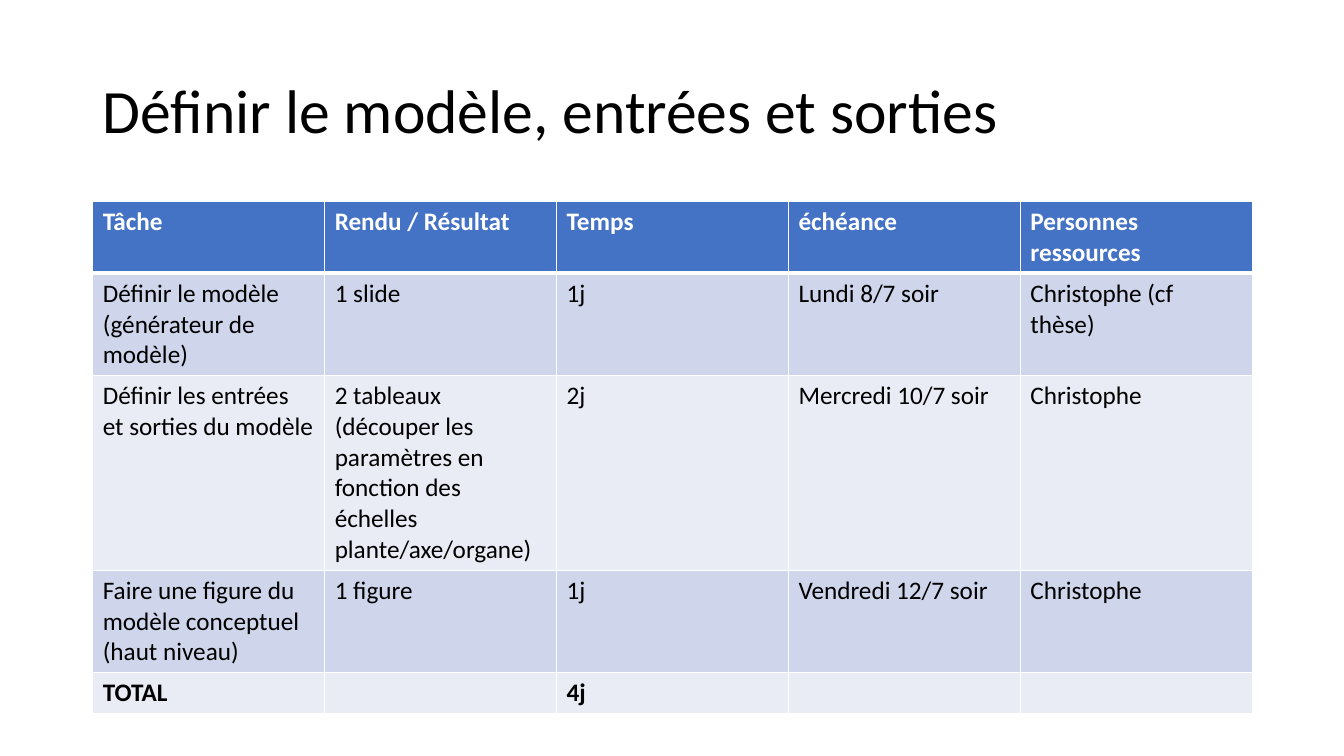
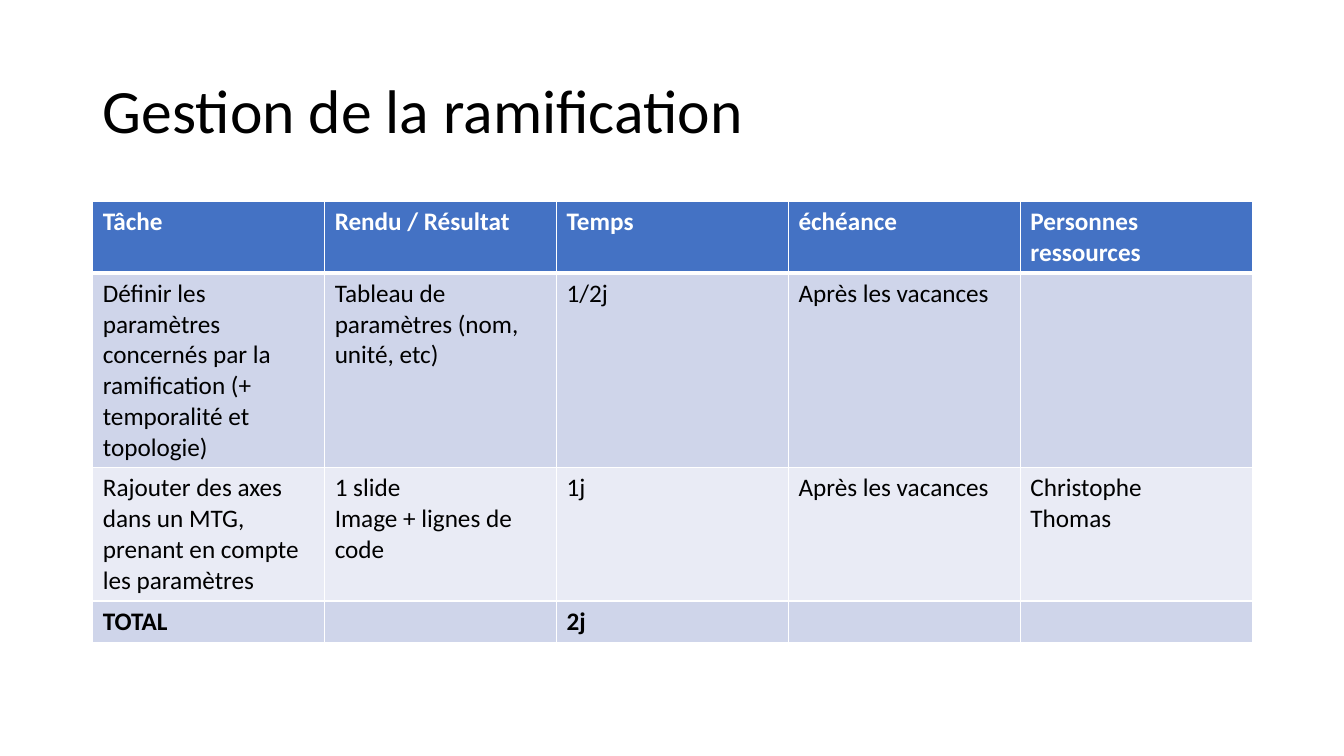
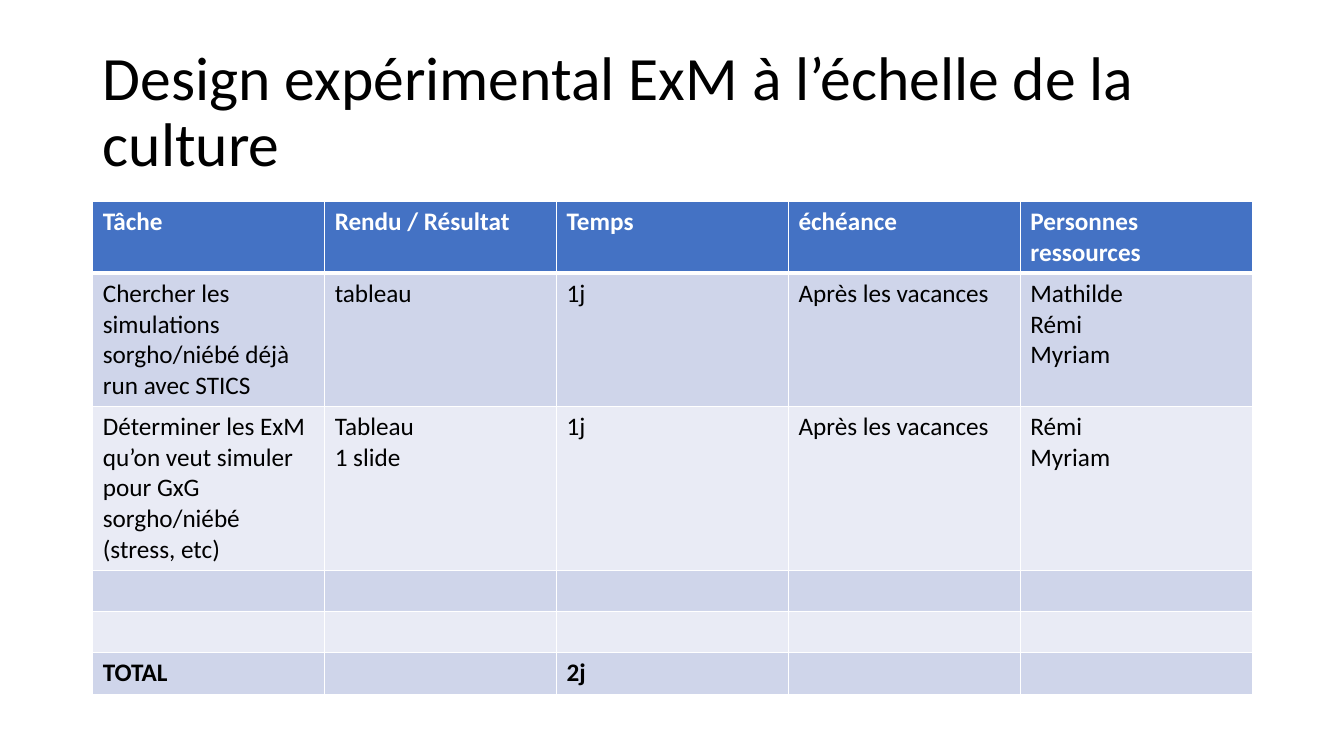
from dataclasses import dataclass

from lxml import etree
from pptx import Presentation
from pptx.dml.color import RGBColor
from pptx.enum.text import MSO_ANCHOR, MSO_AUTO_SIZE, PP_ALIGN
from pptx.oxml.ns import qn
from pptx.presentation import Presentation as Deck
from pptx.slide import Slide
from pptx.table import _Cell
from pptx.util import Inches, Pt

LEFT = PP_ALIGN.LEFT
MIDDLE = MSO_ANCHOR.MIDDLE
NO_AUTOFIT = MSO_AUTO_SIZE.NONE

BLACK = RGBColor(0x00, 0x00, 0x00)
WHITE = RGBColor(0xFF, 0xFF, 0xFF)
HEADER_BLUE = RGBColor(0x44, 0x72, 0xC4)
BANDS = (RGBColor(0xCF, 0xD5, 0xEA), RGBColor(0xE9, 0xEB, 0xF5))

FONT = "Calibri"
TITLE_SIZE = Pt(44)
CELL_SIZE = Pt(18)
THIN, THICK = Pt(1), Pt(3)

MARGIN = Inches(0.92)
CONTENT_WIDTH = Inches(11.5)
TITLE_TOP, TITLE_HEIGHT = Inches(0.4), Inches(1.45)
TABLE_TOP, ROW_HEIGHT = Inches(2), Inches(0.41)
TITLE_ONLY = 5

HEADINGS = ("Tâche", "Rendu / Résultat", "Temps", "échéance", "Personnes ressources")


@dataclass(frozen=True)
class Task:
    """One planned task; a newline starts a new paragraph."""

    name: str = ""
    result: str = ""
    time: str = ""
    deadline: str = ""
    people: str = ""

    def texts(self) -> tuple[str, ...]:
        """Return the texts of the row in column order."""
        return self.name, self.result, self.time, self.deadline, self.people


@dataclass(frozen=True)
class Plan:
    """A slide title with its tasks and total time."""

    title: str
    tasks: tuple[Task, ...]
    total: str


PLANS = (
    Plan(
        "Définir le modèle, entrées et sorties",
        (
            Task("Définir le modèle (générateur de modèle)", "1 slide", "1j",
                 "Lundi 8/7 soir", "Christophe (cf thèse)"),
            Task("Définir les entrées et sorties du modèle",
                 "2 tableaux (découper les paramètres en fonction des échelles plante/axe/organe)",
                 "2j", "Mercredi 10/7 soir", "Christophe"),
            Task("Faire une figure du modèle conceptuel (haut niveau)", "1 figure", "1j",
                 "Vendredi 12/7 soir", "Christophe"),
        ),
        "4j",
    ),
    Plan(
        "Gestion de la ramification",
        (
            Task("Définir les paramètres concernés par la ramification (+ temporalité et topologie)",
                 "Tableau de paramètres (nom, unité, etc)", "1/2j", "Après les vacances"),
            Task("Rajouter des axes dans un MTG, prenant en compte les paramètres",
                 "1 slide\nImage + lignes de code", "1j", "Après les vacances",
                 "Christophe\nThomas"),
        ),
        "2j",
    ),
    Plan(
        "Design expérimental ExM à l’échelle de la culture",
        (
            Task("Chercher les simulations sorgho/niébé déjà run avec STICS", "tableau", "1j",
                 "Après les vacances", "Mathilde\nRémi\nMyriam"),
            Task("Déterminer les ExM qu’on veut simuler pour GxG sorgho/niébé (stress, etc)",
                 "Tableau\n1 slide", "1j", "Après les vacances", "Rémi\nMyriam"),
            Task(),
            Task(),
        ),
        "2j",
    ),
)


def add_title(slide: Slide, text: str) -> None:
    """Place and format the slide title."""
    title = slide.shapes.title
    title.left, title.top = MARGIN, TITLE_TOP
    title.width, title.height = CONTENT_WIDTH, TITLE_HEIGHT
    frame = title.text_frame
    frame.word_wrap = True
    frame.auto_size = NO_AUTOFIT
    frame.vertical_anchor = MIDDLE
    paragraph = frame.paragraphs[0]
    paragraph.alignment = LEFT
    paragraph.line_spacing = 0.9
    run = paragraph.add_run()
    run.text = text
    run.font.name, run.font.size = FONT, TITLE_SIZE
    run.font.color.rgb = BLACK


def set_borders(cell: _Cell, top: Pt, bottom: Pt) -> None:
    """Draw white borders around a cell."""
    properties = cell._tc.get_or_add_tcPr()
    for tag, width in (("a:lnL", THIN), ("a:lnR", THIN), ("a:lnT", top), ("a:lnB", bottom)):
        line = etree.SubElement(properties, qn(tag), w=str(width))
        fill = etree.SubElement(line, qn("a:solidFill"))
        etree.SubElement(fill, qn("a:srgbClr"), val=str(WHITE))


def write_cell(cell: _Cell, text: str, color: RGBColor, bold: bool) -> None:
    """Write one paragraph per line of text."""
    frame = cell.text_frame
    for index, line in enumerate(text.split("\n") if text else ()):
        paragraph = frame.add_paragraph() if index else frame.paragraphs[0]
        run = paragraph.add_run()
        run.text = line
        run.font.name, run.font.size, run.font.bold = FONT, CELL_SIZE, bold
        run.font.color.rgb = color


def add_plan_table(slide: Slide, plan: Plan) -> None:
    """Add the task table with its header and total rows."""
    total = Task("TOTAL", time=plan.total)
    rows = [HEADINGS, *(task.texts() for task in plan.tasks), total.texts()]
    table = slide.shapes.add_table(
        len(rows), len(HEADINGS), MARGIN, TABLE_TOP, CONTENT_WIDTH, ROW_HEIGHT * len(rows)
    ).table
    for row_index, texts in enumerate(rows):
        is_header = row_index == 0
        bold = is_header or row_index == len(rows) - 1
        background = HEADER_BLUE if is_header else BANDS[(row_index - 1) % 2]
        for column_index, text in enumerate(texts):
            cell = table.cell(row_index, column_index)
            set_borders(cell, THICK if row_index == 1 else THIN, THICK if is_header else THIN)
            cell.fill.solid()
            cell.fill.fore_color.rgb = background
            write_cell(cell, text, WHITE if is_header else BLACK, bold)


def add_plan_slide(deck: Deck, plan: Plan) -> None:
    """Add one planning slide."""
    slide = deck.slides.add_slide(deck.slide_layouts[TITLE_ONLY])
    add_title(slide, plan.title)
    add_plan_table(slide, plan)


def main() -> None:
    """Build and save the presentation."""
    deck = Presentation()
    deck.slide_width, deck.slide_height = Inches(13.33), Inches(7.5)
    for plan in PLANS:
        add_plan_slide(deck, plan)
    deck.save("out.pptx")


if __name__ == "__main__":
    main()
